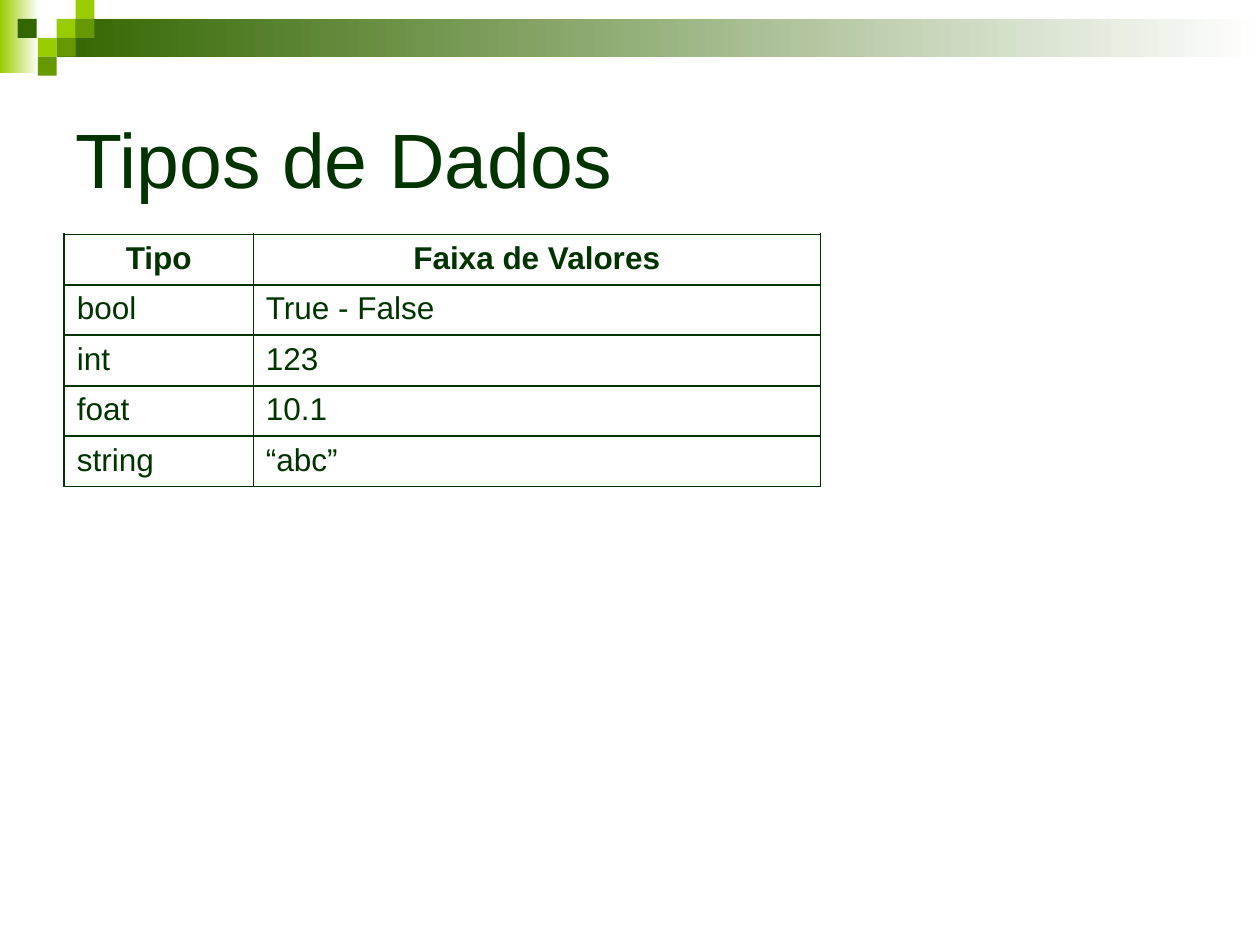
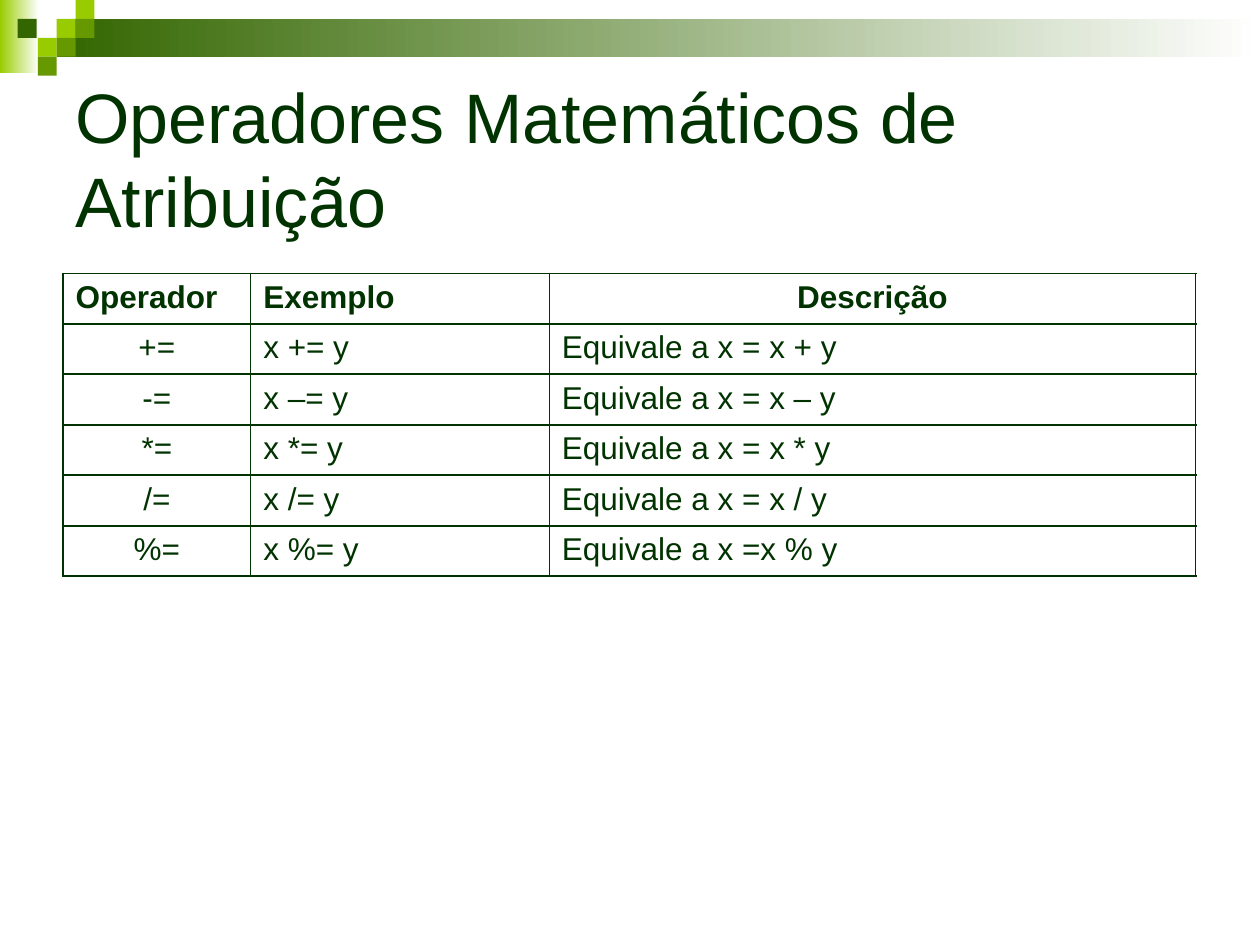
from dataclasses import dataclass

from lxml.etree import SubElement
from pptx import Presentation
from pptx.dml.color import RGBColor
from pptx.enum.shapes import MSO_SHAPE
from pptx.enum.text import MSO_ANCHOR, PP_ALIGN
from pptx.oxml.ns import qn
from pptx.util import Inches, Pt

FONT = "Arial"
WHITE = "FFFFFF"
INK = "003300"
DARK = "336600"
MEDIUM = "669900"
LIME = "99CC00"
SQUARE = 0.15
ROW_HEIGHT = 0.4
THIN, THICK = 0.45, 1.08


@dataclass(frozen=True)
class Band:
    left: float
    top: float
    width: float
    height: float
    color: str
    fades: bool = False


@dataclass(frozen=True)
class TableSlide:
    title: str
    title_size: int
    left: float
    top: float
    column_widths: tuple[float, ...]
    rows: tuple[tuple[str, ...], ...]
    centered_headers: tuple[int, ...]
    centered_columns: tuple[int, ...] = ()
    right_border: float = THIN


BANDS = (
    Band(0, 0, 0.31, 0.58, LIME, fades=True),
    Band(0.45, 0.15, 9.55, 0.3, DARK, fades=True),
    *(
        Band(left, top, SQUARE, SQUARE, color)
        for left, top, color in (
            (0.45, 0.15, LIME),
            (0.6, 0, LIME),
            (0.6, 0.15, MEDIUM),
            (0.3, 0.3, LIME),
            (0.14, 0.15, DARK),
            (0.45, 0.3, MEDIUM),
            (0.3, 0.45, MEDIUM),
        )
    ),
)

OPERATORS = (("+", "+"), ("-", "–"), ("*", "*"), ("/", "/"))

SLIDES = (
    TableSlide(
        title="Tipos de Dados",
        title_size=44,
        left=0.51,
        top=1.86,
        column_widths=(1.5, 4.5),
        rows=(
            ("Tipo", "Faixa de Valores"),
            ("bool", "True - False"),
            ("int", "123"),
            ("foat", "10.1"),
            ("string", "“abc”"),
        ),
        centered_headers=(0, 1),
    ),
    TableSlide(
        title="Operadores Matemáticos de Atribuição",
        title_size=40,
        left=0.5,
        top=2.17,
        column_widths=(1.49, 2.37, 5.13),
        rows=(
            ("Operador", "Exemplo", "Descrição"),
            *(
                (f"{key}=", f"x {sign}= y", f"Equivale a x = x {sign} y")
                for key, sign in OPERATORS
            ),
            ("%=", "x %= y", "Equivale a x =x % y"),
        ),
        centered_headers=(2,),
        centered_columns=(0,),
        right_border=THICK,
    ),
)


def rgb(color: str) -> RGBColor:
    return RGBColor.from_string(color)


def write_text(text_frame, text: str, *, size: int, bold: bool = False,
               centered: bool = False) -> None:
    text_frame.word_wrap = True
    paragraph = text_frame.paragraphs[0]
    paragraph.alignment = PP_ALIGN.CENTER if centered else PP_ALIGN.LEFT
    run = paragraph.add_run()
    run.text = text
    run.font.name = FONT
    run.font.size = Pt(size)
    run.font.bold = bold
    run.font.color.rgb = rgb(INK)


def draw_band(slide, band: Band) -> None:
    shape = slide.shapes.add_shape(
        MSO_SHAPE.RECTANGLE, Inches(band.left), Inches(band.top),
        Inches(band.width), Inches(band.height))
    shape.shadow.inherit = False
    shape.line.fill.background()
    if not band.fades:
        shape.fill.solid()
        shape.fill.fore_color.rgb = rgb(band.color)
        return
    shape.fill.gradient()
    shape.fill.gradient_angle = 0
    for stop, color, position in zip(
            shape.fill.gradient_stops, (band.color, WHITE), (0, 1)):
        stop.color.rgb = rgb(color)
        stop.position = position


def draw_title(slide, text: str, size: int) -> None:
    box = slide.shapes.add_textbox(Inches(0.5), Inches(0.5), Inches(9), Inches(1.5))
    box.text_frame.vertical_anchor = MSO_ANCHOR.MIDDLE
    write_text(box.text_frame, text, size=size)


def set_borders(cell, left: float, right: float) -> None:
    """Set side widths in points; the top and bottom are always thick."""
    properties = cell._tc.get_or_add_tcPr()
    for side, width in (("L", left), ("R", right), ("T", THICK), ("B", THICK)):
        line = SubElement(properties, qn(f"a:ln{side}"), w=str(Pt(width)))
        fill = SubElement(line, qn("a:solidFill"))
        SubElement(fill, qn("a:srgbClr"), val=INK)


def draw_table(slide, content: TableSlide) -> None:
    row_count, column_count = len(content.rows), len(content.column_widths)
    table = slide.shapes.add_table(
        row_count, column_count, Inches(content.left), Inches(content.top),
        Inches(sum(content.column_widths)), Inches(ROW_HEIGHT * row_count)).table
    table.first_row = table.horz_banding = False
    for column, width in zip(table.columns, content.column_widths):
        column.width = Inches(width)
    for row_index, texts in enumerate(content.rows):
        table.rows[row_index].height = Inches(ROW_HEIGHT)
        is_header = row_index == 0
        centered = content.centered_headers if is_header else content.centered_columns
        for column_index, text in enumerate(texts):
            cell = table.cell(row_index, column_index)
            is_last = column_index == column_count - 1
            set_borders(cell, THICK if column_index == 0 else THIN,
                        content.right_border if is_last else THIN)
            cell.fill.background()
            write_text(cell.text_frame, text, size=18, bold=is_header,
                       centered=column_index in centered)


def main() -> None:
    presentation = Presentation()
    presentation.slide_width = Inches(10)
    presentation.slide_height = Inches(7.5)
    for content in SLIDES:
        slide = presentation.slides.add_slide(presentation.slide_layouts[6])
        for band in BANDS:
            draw_band(slide, band)
        draw_title(slide, content.title, content.title_size)
        draw_table(slide, content)
    presentation.save("out.pptx")


if __name__ == "__main__":
    main()
